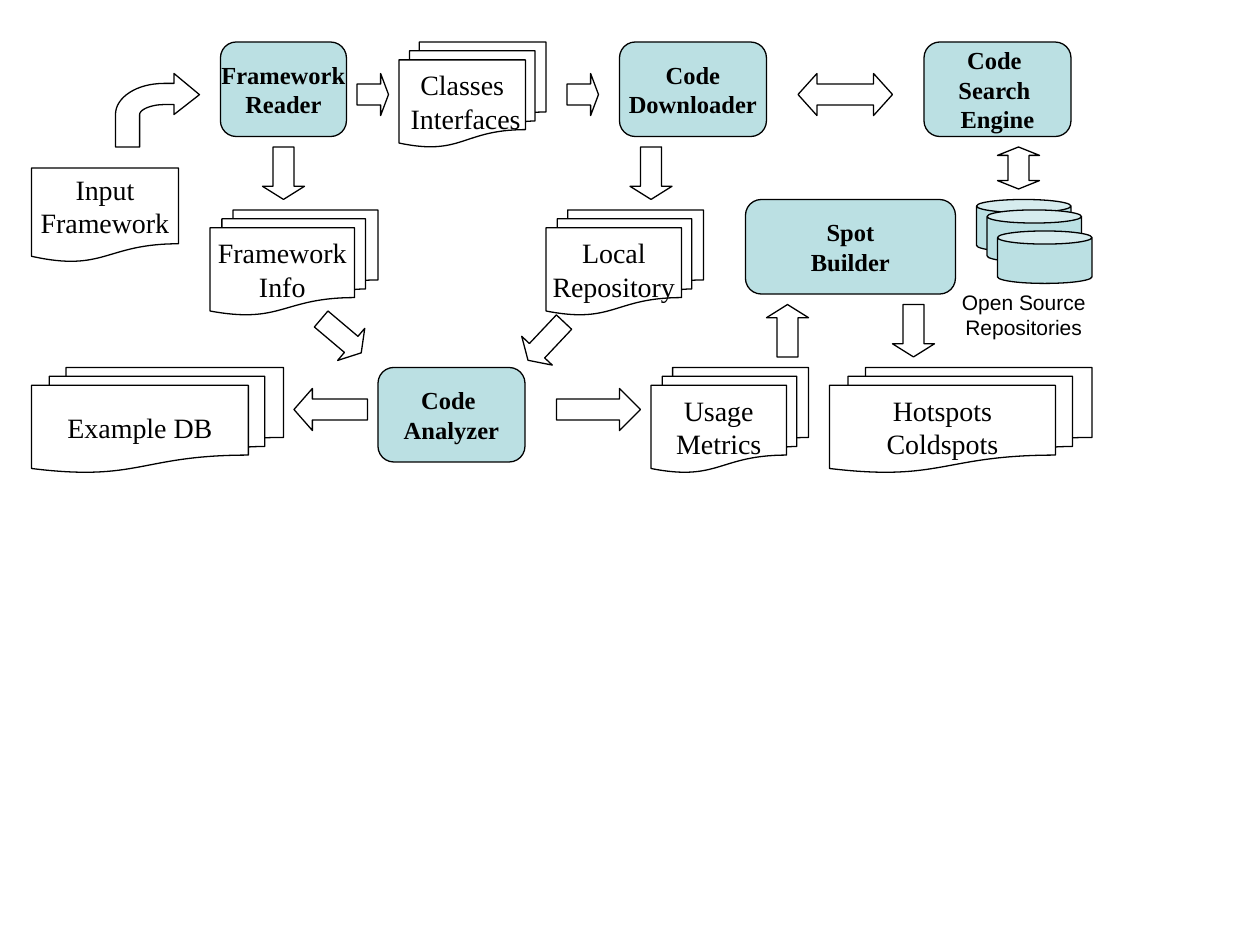
from pptx import Presentation
from pptx.dml.color import RGBColor
from pptx.enum.shapes import MSO_SHAPE
from pptx.enum.text import MSO_ANCHOR, PP_ALIGN
from pptx.util import Cm, Pt

BLACK = RGBColor(0x00, 0x00, 0x00)
WHITE = RGBColor(0xFF, 0xFF, 0xFF)
TEAL = RGBColor(0xBB, 0xE0, 0xE3)
SERIF = "Times New Roman"
SANS = "Arial"


def grid(n):
    return Cm(n * 2.54 / 12)


def write(tf, lines, size, font=SERIF, bold=False):
    for i, line in enumerate(lines):
        p = tf.paragraphs[0] if i == 0 else tf.add_paragraph()
        p.alignment = PP_ALIGN.CENTER
        r = p.add_run()
        r.text = line
        r.font.size = Pt(size)
        r.font.name = font
        r.font.bold = bold
        r.font.color.rgb = BLACK


def outline(sp):
    sp.shadow.inherit = False
    sp.line.color.rgb = BLACK
    sp.line.width = Pt(0.75)


def block(s, kind, box, fill=WHITE, lines=(), size=16, bold=False):
    sp = s.shapes.add_shape(kind, *map(grid, box))
    outline(sp)
    sp.fill.solid()
    sp.fill.fore_color.rgb = fill
    tf = sp.text_frame
    tf.word_wrap = False
    tf.vertical_anchor = MSO_ANCHOR.MIDDLE
    write(tf, lines, size, bold=bold)
    return sp


def process(s, box, *lines):
    block(s, MSO_SHAPE.ROUNDED_RECTANGLE, box, TEAL, lines, 14, True)


def documents(s, box, *lines):
    block(s, MSO_SHAPE.FLOWCHART_MULTIDOCUMENT, box, WHITE, lines)


def arrow(s, box, angle=0, kind=MSO_SHAPE.RIGHT_ARROW, head=0.25):
    w, h = box[2:]
    sp = block(s, kind, box)
    sp.adjustments[0] = 0.5
    sp.adjustments[1] = head * w / min(w, h)
    sp.rotation = angle


def double_arrow(s, box, angle=0):
    arrow(s, box, angle, MSO_SHAPE.LEFT_RIGHT_ARROW, 0.2)


def curve(a, b, c, d, steps=16):
    for i in range(1, steps + 1):
        t = i / steps
        u = 1 - t
        yield tuple(u**3 * p + 3 * u * u * t * q + 3 * u * t * t * m + t**3 * n
                    for p, q, m, n in zip(a, b, c, d))


def bent_arrow(s, x, y, w, h):
    points = [(0, 59), (0, 33),
              *curve((0, 33), (0, 19), (17, 8), (38, 8)),
              (46, 8), (46, 0), (66, 17), (46, 33), (46, 25), (38, 25),
              *curve((38, 25), (28, 25), (19, 29), (19, 33)),
              (19, 59)]
    places = [(grid(x + px * w / 66), grid(y + py * h / 59)) for px, py in points]
    fb = s.shapes.build_freeform(*places[0])
    fb.add_line_segments(places[1:], close=True)
    sp = fb.convert_to_shape()
    outline(sp)
    sp.fill.background()


def framework_region(s, x, y):
    block(s, MSO_SHAPE.FLOWCHART_DOCUMENT, (x, y + 12, 14, 9),
          lines=("Input", "Framework"))
    bent_arrow(s, x + 8, y + 3, 8, 7)
    process(s, (x + 18, y, 12, 9), "Framework", "Reader")
    arrow(s, (x + 21.5, y + 10.5, 5, 4), 90)
    documents(s, (x + 17, y + 16, 16, 10), "Framework", "Info")


def download_region(s, x, y):
    arrow(s, (x, y + 3, 3, 4))
    documents(s, (x + 4, y, 14, 10), "Classes", " Interfaces")
    arrow(s, (x + 20, y + 3, 3, 4))
    process(s, (x + 25, y, 14, 9), "Code", "Downloader")
    arrow(s, (x + 25.5, y + 10.5, 5, 4), 90)
    documents(s, (x + 18, y + 16, 15, 10), "Local", "Repository")


def search_region(s, x, y):
    double_arrow(s, (x, y + 3, 9, 4))
    process(s, (x + 12, y, 14, 9), "Code ", "Search ", "Engine")
    double_arrow(s, (x + 19, y + 10, 4, 4), 90)
    for dx, dy in ((17, 15), (18, 16), (19, 18)):
        block(s, MSO_SHAPE.CAN, (x + dx, y + dy, 9, 5), TEAL)
    tb = s.shapes.add_textbox(*map(grid, (x + 14, y + 23, 15, 6)))
    tb.text_frame.word_wrap = True
    write(tb.text_frame, ["Open Source Repositories"], 12, SANS)


def analysis_region(s, x, y):
    arrow(s, (x + 27, y, 5, 4), 40.2)
    arrow(s, (x + 46.5, y + 0.5, 5, 4), 133.3)
    documents(s, (x, y + 5, 24, 10), "Example DB")
    arrow(s, (x + 25, y + 7, 7, 4), 180)
    process(s, (x + 33, y + 5, 14, 9), "Code ", "Analyzer")
    arrow(s, (x + 50, y + 7, 8, 4))


def spot_region(s, x, y):
    process(s, (x + 9, y, 20, 9), "Spot", "Builder")
    arrow(s, (x + 10.5, y + 10.5, 5, 4), 270)
    arrow(s, (x + 22.5, y + 10.5, 5, 4), 90)
    documents(s, (x, y + 16, 15, 10), "Usage", "Metrics")
    documents(s, (x + 17, y + 16, 25, 10), "Hotspots", "Coldspots")


def main():
    prs = Presentation()
    prs.slide_width = Cm(25.4)
    prs.slide_height = Cm(19.05)
    s = prs.slides.add_slide(prs.slide_layouts[6])
    framework_region(s, 3, 4)
    download_region(s, 34, 4)
    search_region(s, 76, 4)
    analysis_region(s, 3, 30)
    spot_region(s, 62, 19)
    prs.save("out.pptx")


if __name__ == "__main__":
    main()
